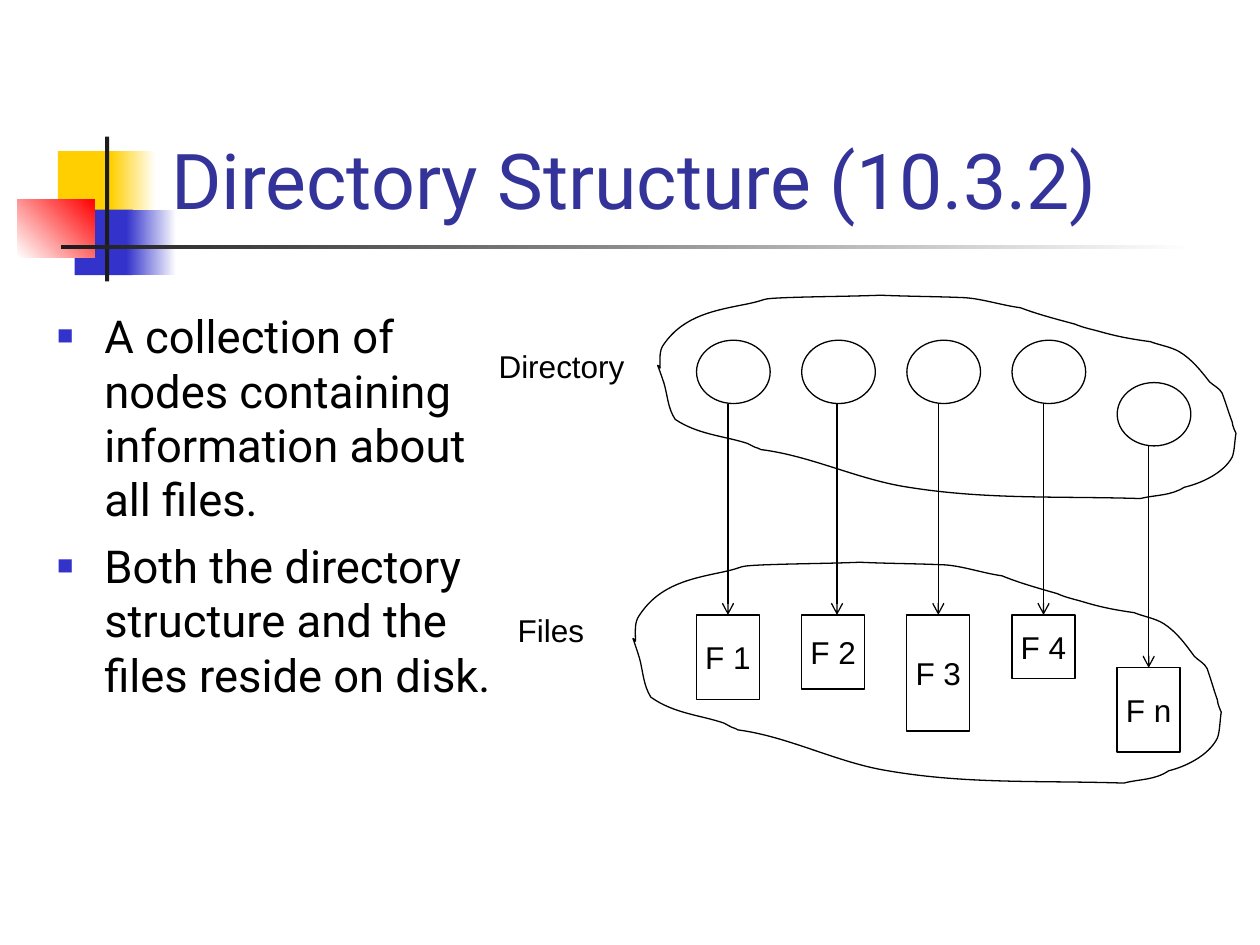
from lxml import etree
from pptx import Presentation
from pptx.dml.color import RGBColor
from pptx.enum.shapes import MSO_CONNECTOR, MSO_SHAPE
from pptx.enum.text import MSO_ANCHOR, PP_ALIGN
from pptx.oxml.ns import qn
from pptx.util import Pt

RECTANGLE, OVAL = MSO_SHAPE.RECTANGLE, MSO_SHAPE.OVAL
STRAIGHT = MSO_CONNECTOR.STRAIGHT
TOP, MIDDLE, BOTTOM = MSO_ANCHOR.TOP, MSO_ANCHOR.MIDDLE, MSO_ANCHOR.BOTTOM
LEFT, CENTER = PP_ALIGN.LEFT, PP_ALIGN.CENTER

YELLOW = RGBColor(0xFF, 0xCF, 0x01)
BLUE = RGBColor(0x33, 0x33, 0xCC)
RED = RGBColor(0xFF, 0x00, 0x00)
CHARCOAL = RGBColor(0x1C, 0x1C, 0x1C)
INDIGO = RGBColor(0x33, 0x33, 0x99)
BLACK = RGBColor(0x00, 0x00, 0x00)
WHITE = RGBColor(0xFF, 0xFF, 0xFF)

prs = Presentation()
prs.slide_width, prs.slide_height = Pt(720), Pt(540)
slide = prs.slides.add_slide(prs.slide_layouts[6])
shapes = slide.shapes


def add_outlined(kind, left, top, width, height):
    outlined = shapes.add_shape(kind, Pt(left), Pt(top), Pt(width), Pt(height))
    outlined.shadow.inherit = False
    outlined.fill.solid()
    outlined.fill.fore_color.rgb = WHITE
    outlined.line.color.rgb = BLACK
    outlined.line.width = Pt(0.75)
    return outlined


def write(shape, text, font, size, color, anchor, align, wrap):
    frame = shape.text_frame
    frame.text = text
    frame.word_wrap = wrap
    frame.vertical_anchor = anchor
    for paragraph in frame.paragraphs:
        paragraph.alignment = align
        for run in paragraph.runs:
            run.font.name = font
            run.font.size = Pt(size)
            run.font.color.rgb = color


ornaments = [
    (33.1, 86.4, 34.6, 37.4, [YELLOW], 0),
    (63.4, 86.4, 25.6, 37.4, [YELLOW, WHITE], 0),
    (42.7, 119.8, 33.1, 37.4, [BLUE], 0),
    (72.2, 119.8, 28.6, 37.4, [BLUE, WHITE], 0),
    (10, 113.8, 44, 33.1, [WHITE, RED], 45),
    (60, 78, 2.4, 82.8, [CHARCOAL], 0),
    (34.6, 140.1, 648, 2.4, [CHARCOAL, WHITE], 0),
]
for left, top, width, height, colors, angle in ornaments:
    ornament = shapes.add_shape(RECTANGLE, Pt(left), Pt(top), Pt(width), Pt(height))
    ornament.shadow.inherit = False
    ornament.line.fill.background()
    if len(colors) == 1:
        ornament.fill.solid()
        ornament.fill.fore_color.rgb = colors[0]
    else:
        ornament.fill.gradient()
        ornament.fill.gradient_angle = angle
        for stop, color in zip(ornament.fill.gradient_stops, colors):
            stop.color.rgb = color

title = shapes.add_textbox(Pt(90.7), Pt(16.6), Pt(613.4), Pt(115.2))
write(title, "Directory Structure (10.3.2)", "Roboto", 44, INDIGO, BOTTOM, LEFT, True)

body = shapes.add_textbox(Pt(25.5), Pt(172.6), Pt(265.7), Pt(329.8))
points = [
    "A collection of nodes containing information about all files.",
    "Both the directory structure and the files reside on disk.",
]
write(body, "\n".join(points), "Roboto", 25.9, BLACK, TOP, LEFT, True)
for paragraph in body.text_frame.paragraphs:
    paragraph.space_before = Pt(7)
    properties = paragraph._p.get_or_add_pPr()
    properties.set("marL", str(Pt(27)))
    properties.set("indent", str(-Pt(27)))
    bullet_color = etree.SubElement(properties, qn("a:buClr"))
    etree.SubElement(bullet_color, qn("a:srgbClr"), val=str(BLUE))
    etree.SubElement(properties, qn("a:buSzPct"), val="60000")
    etree.SubElement(properties, qn("a:buFont"), typeface="Arial")
    etree.SubElement(properties, qn("a:buChar"), char="■")

for label, left, top, width in [("Directory", 277.7, 194.8, 86.4), ("Files", 288.5, 345.6, 52.6)]:
    caption = shapes.add_textbox(Pt(left), Pt(top), Pt(width), Pt(28.8))
    write(caption, label, "Arial", 18, BLACK, MIDDLE, CENTER, False)
    caption.text_frame.paragraphs[0].space_before = Pt(11.2)

entries = [
    ("F 1", 194.4, 351.4, 48.2, 0),
    ("F 2", 194.4, 351.4, 42.3, 2.2),
    ("F 3", 194.4, 351.4, 66.4, 0),
    ("F 4", 194.4, 351.4, 36.4, 0),
    ("F n", 218.6, 381.6, 48.2, 0),
]
for column, (name, node_top, file_top, file_height, pointer_shift) in enumerate(entries):
    left = 398 + 60.1 * column
    add_outlined(OVAL, left, node_top, 42.1, 36.2)
    file_box = add_outlined(RECTANGLE, left, file_top, 36, file_height)
    write(file_box, name, "Arial", 18, BLACK, MIDDLE, CENTER, False)
    pointer_x = Pt(left + 18 + pointer_shift)
    pointer = shapes.add_connector(STRAIGHT, pointer_x, Pt(node_top + 36.2), pointer_x, Pt(file_top))
    if pointer_shift == 0:
        pointer.end_connect(file_box, 0)
    pointer.line.color.rgb = BLACK
    pointer.line.width = Pt(0.75)
    etree.SubElement(pointer.line._get_or_add_ln(), qn("a:tailEnd"), type="arrow")
    etree.SubElement(pointer._element.spPr, qn("a:effectLst"))

cloud_start = (2, 58)
cloud_curves = [
    (2, 51, 1, 44, 5, 39), (21, 16, 46, 12, 71, 7), (90, 3, 79, 3, 101, 2),
    (127, 1, 152, 1, 177, 0), (199, 1, 222, 1, 244, 2), (258, 3, 273, 8, 288, 10),
    (301, 15, 316, 19, 331, 23), (338, 26, 344, 27, 351, 29), (365, 33, 376, 35, 391, 37),
    (399, 40, 407, 41, 414, 45), (424, 51, 431, 60, 438, 69), (441, 72, 446, 74, 448, 78),
    (451, 86, 453, 93, 456, 101), (456, 104, 459, 110, 459, 110), (458, 115, 458, 124, 456, 129),
    (449, 142, 431, 150, 418, 153), (407, 160, 395, 159, 383, 162), (319, 160, 261, 163, 199, 153),
    (159, 147, 122, 128, 82, 123), (81, 122, 79, 122, 77, 121), (75, 120, 73, 119, 71, 118),
    (52, 112, 32, 111, 14, 99), (8, 90, 8, 80, 5, 70), (5, 70, 1, 58, 0, 56),
    (0, 55, 1, 57, 2, 58),
]
curve_ends = [curve[4:] for curve in cloud_curves]

for left, top, width, height in [(375.8, 168.7, 330.5, 116.2), (361.7, 321.3, 336.2, 126.2)]:
    scale = (Pt(width) / 459, Pt(height) / 162)
    builder = shapes.build_freeform(*cloud_start, scale=scale)
    builder.add_line_segments(curve_ends, close=True)
    cloud = builder.convert_to_shape(Pt(left), Pt(top))
    segments = list(cloud._element.spPr.iter(qn("a:lnTo")))
    for segment, curve in zip(segments, cloud_curves):
        bend = etree.Element(qn("a:cubicBezTo"))
        for x, y in zip(curve[::2], curve[1::2]):
            etree.SubElement(bend, qn("a:pt"), x=str(x), y=str(y))
        segment.getparent().replace(segment, bend)
    cloud.shadow.inherit = False
    cloud.fill.background()
    cloud.line.color.rgb = BLACK
    cloud.line.width = Pt(0.75)

prs.save("out.pptx")
